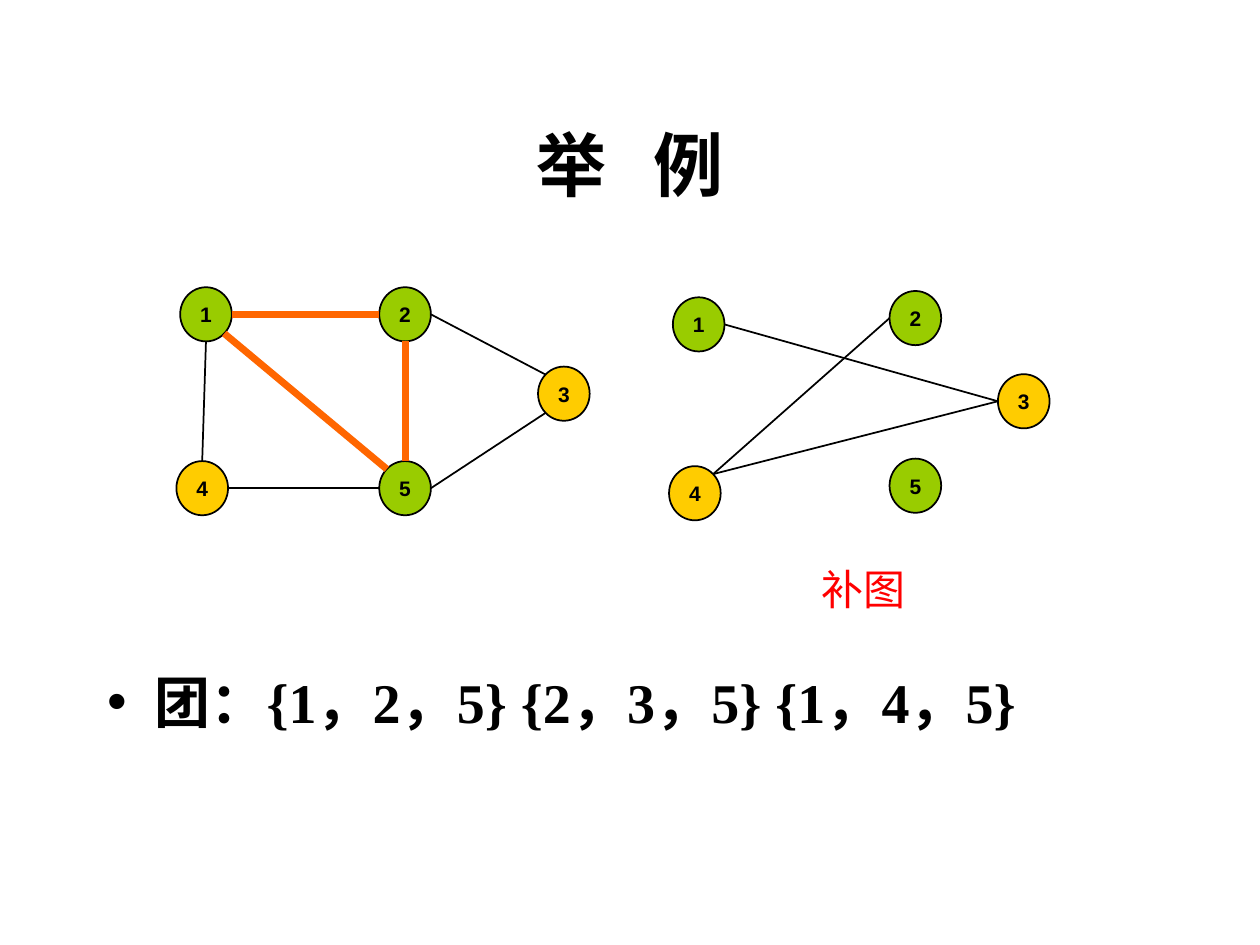
import pptx
from pptx.dml.color import RGBColor
from pptx.enum.shapes import MSO_CONNECTOR, MSO_SHAPE
from pptx.enum.text import MSO_ANCHOR, MSO_AUTO_SIZE, PP_ALIGN
from pptx.oxml.ns import qn
from pptx.util import Inches, Pt
from lxml import etree

COLORS = {"black": "000000", "green": "99CC00", "yellow": "FFCC00",
          "orange": "FF6600", "red": "FF0000"}
NODE_W, NODE_H = 0.41, 0.43
DIAG = 0.5 ** 0.5
SIDES = {"top": (0, -1), "bottom": (0, 1), "left": (-1, 0), "right": (1, 0),
         "top left": (-DIAG, -DIAG), "top right": (DIAG, -DIAG),
         "bottom left": (-DIAG, DIAG), "bottom right": (DIAG, DIAG)}
CLIQUE = {1, 2, 5}


def rgb(name):
    return RGBColor.from_string(COLORS[name])


def set_font(p, name, size, color="black", bold=True):
    p.font.name = name
    p.font.size = Pt(size)
    p.font.bold = bold
    p.font.color.rgb = rgb(color)


def place(sp, left, top, width, height):
    sp.left, sp.top = Inches(left), Inches(top)
    sp.width, sp.height = Inches(width), Inches(height)


def fill_placeholder(sp, box, text, font, size):
    place(sp, *box)
    tf = sp.text_frame
    tf.auto_size = MSO_AUTO_SIZE.NONE
    tf.text = text
    set_font(tf.paragraphs[0], font, size)


def add_node(shapes, number, left, top):
    sp = shapes.add_shape(MSO_SHAPE.OVAL, Inches(left), Inches(top),
                          Inches(NODE_W), Inches(NODE_H))
    sp.shadow.inherit = False
    sp.fill.solid()
    sp.fill.fore_color.rgb = rgb("green" if number in CLIQUE else "yellow")
    sp.line.color.rgb = rgb("black")
    sp.line.width = Pt(1)
    tf = sp.text_frame
    tf.word_wrap = False
    tf.vertical_anchor = MSO_ANCHOR.MIDDLE
    tf.text = str(number)
    p = tf.paragraphs[0]
    p.alignment = PP_ALIGN.CENTER
    set_font(p, "Arial", 12)


def add_edge(shapes, begin, end, color, width):
    line = shapes.add_connector(MSO_CONNECTOR.STRAIGHT,
                                *(Inches(v) for v in begin + end))
    line.line.color.rgb = rgb(color)
    line.line.width = Pt(width)
    etree.SubElement(line._element.spPr, qn("a:effectLst"))


def add_graph(s, left, top, nodes, edges, highlight=()):
    """Draw nodes at offsets from left, top; edges join (node, side) pairs."""
    shapes = s.shapes.add_group_shape().shapes
    for number, (x, y) in nodes.items():
        add_node(shapes, number, left + x, top + y)

    def edge_point(number, side):
        x, y = nodes[number]
        dx, dy = SIDES[side]
        return (left + x + NODE_W / 2 * (1 + dx),
                top + y + NODE_H / 2 * (1 + dy))

    for a, a_side, b, b_side in edges:
        color, width = ("orange", 4) if {a, b} <= set(highlight) else ("black", 1)
        add_edge(shapes, edge_point(a, a_side), edge_point(b, b_side), color, width)


def add_caption(s, left, top, width, height, text):
    tf = s.shapes.add_textbox(Inches(left), Inches(top),
                              Inches(width), Inches(height)).text_frame
    tf.word_wrap = False
    tf.auto_size = MSO_AUTO_SIZE.SHAPE_TO_FIT_TEXT
    tf.text = text
    set_font(tf.paragraphs[0], "Arial", 24, "red", bold=False)


def main():
    prs = pptx.Presentation()
    prs.slide_width, prs.slide_height = Inches(10), Inches(7.5)
    s = prs.slides.add_slide(prs.slide_layouts[1])
    fill_placeholder(s.shapes.title, (0.75, 0.67, 8.5, 1.25), "举   例", "Arial", 40)
    fill_placeholder(s.placeholders[1], (0.75, 5.25, 8.5, 0.75),
                     "团：{1，2，5} {2，3，5} {1，4，5}", "Times New Roman", 32)

    add_graph(s, 1.4, 2.28,
              {1: (0.03, 0), 2: (1.61, 0), 4: (0, 1.38),
               5: (1.61, 1.38), 3: (2.87, 0.63)},
              [(1, "right", 2, "left"), (1, "bottom", 4, "top"),
               (4, "right", 5, "left"), (5, "top", 2, "bottom"),
               (1, "bottom right", 5, "top left"),
               (3, "top left", 2, "right"), (5, "right", 3, "bottom left")],
              highlight=CLIQUE)
    add_graph(s, 5.31, 2.31,
              {1: (0.03, 0.05), 2: (1.75, 0), 4: (0, 1.39),
               5: (1.75, 1.33), 3: (2.61, 0.66)},
              [(1, "right", 3, "left"), (4, "top right", 3, "left"),
               (4, "top right", 2, "left")])
    add_caption(s, 6.42, 4.42, 0.87, 0.5, "补图")
    prs.save("out.pptx")


if __name__ == "__main__":
    main()
